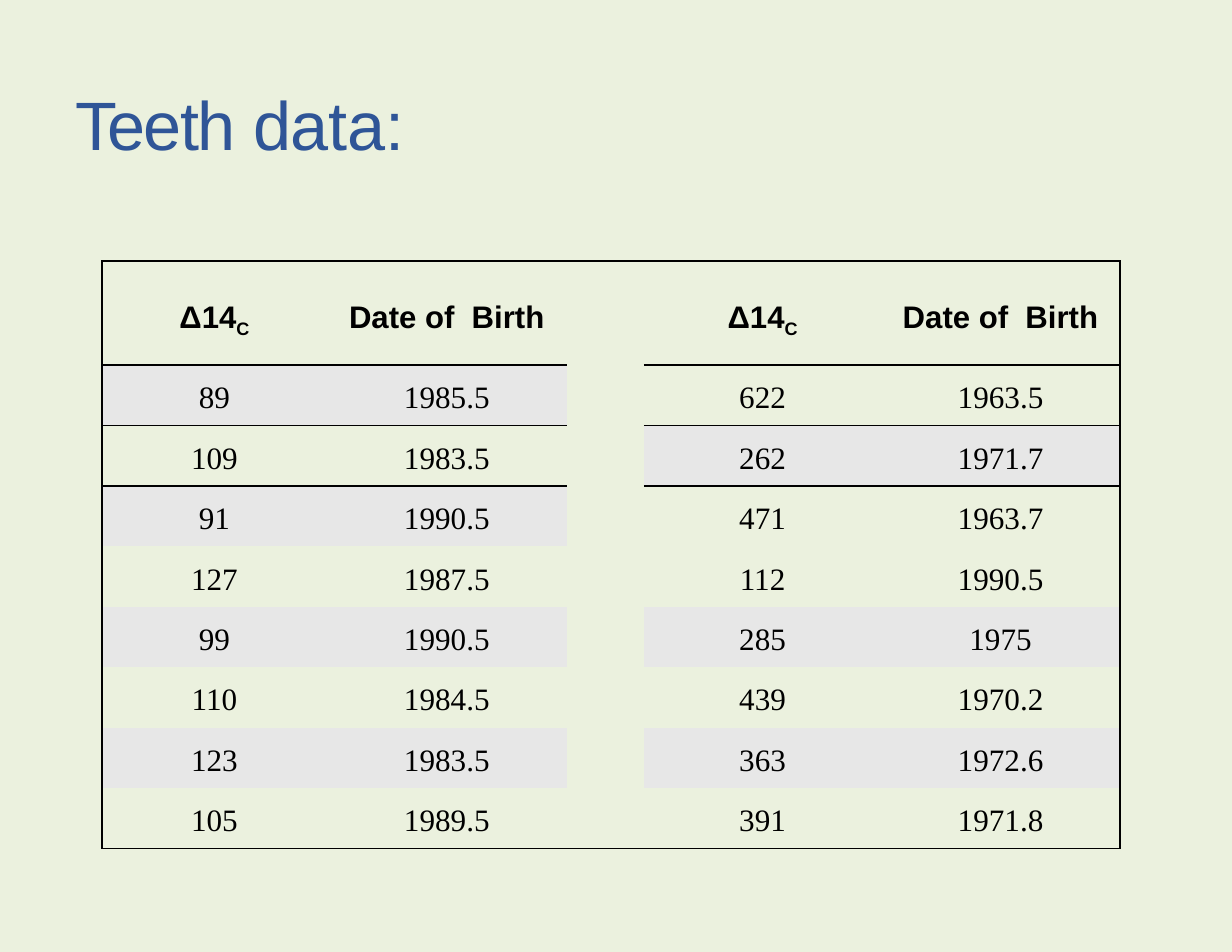
from lxml import etree
from pptx import Presentation
from pptx.dml.color import RGBColor
from pptx.enum.text import MSO_ANCHOR, MSO_AUTO_SIZE, PP_ALIGN
from pptx.oxml.ns import qn
from pptx.util import Inches, Pt

COLORS = {"background": "EBF1DE", "title": "2F5597", "text": "000000",
          "line": "000000", "band": "E7E7E7"}
NO_STYLE = "{2D5ABB26-0587-4C30-8999-92F81FD0307C}"

HEADER = ("Δ14", "Date of  Birth", "", "Δ14", "Date of  Birth")
TEETH = [
    ("89", "1985.5", "", "622", "1963.5"),
    ("109", "1983.5", "", "262", "1971.7"),
    ("91", "1990.5", "", "471", "1963.7"),
    ("127", "1987.5", "", "112", "1990.5"),
    ("99", "1990.5", "", "285", "1975"),
    ("110", "1984.5", "", "439", "1970.2"),
    ("123", "1983.5", "", "363", "1972.6"),
    ("105", "1989.5", "", "391", "1971.8"),
]
COL_WIDTHS = (2.01, 2.14, 0.69, 2.12, 2.13)
HEADER_HEIGHT, ROW_HEIGHT = 0.93, 0.54
GAP_COL = 2
LEFT_BANDS, RIGHT_BANDS = (1, 3, 5, 7), (2, 5, 7)


def rgb(name):
    return RGBColor.from_string(COLORS[name])


def format_run(r, size, font, color, bold=False):
    r.font.size, r.font.name, r.font.bold = Pt(size), font, bold
    r.font.color.rgb = rgb(color)


def add_title(s, left, top, width, height):
    title = s.shapes.title
    title.left, title.top = Inches(left), Inches(top)
    title.width, title.height = Inches(width), Inches(height)
    tf = title.text_frame
    tf.margin_left = tf.margin_right = tf.margin_bottom = 0
    tf.margin_top = Inches(0.02)
    tf.vertical_anchor = MSO_ANCHOR.TOP
    tf.auto_size = MSO_AUTO_SIZE.SHAPE_TO_FIT_TEXT
    p = tf.paragraphs[0]
    p.alignment = PP_ALIGN.LEFT
    p.space_before = Pt(1.4)
    for text, spacing in (("Teeth ", -110), ("data:", -10)):
        r = p.add_run()
        r.text = text
        format_run(r, 44, "Arial", "title")
        r.font._element.set("spc", str(spacing))


def add_border(cell, side):
    tcPr = cell._tc.get_or_add_tcPr()
    ln = etree.SubElement(tcPr, qn(f"a:ln{side}"), w=str(Pt(1)))
    fill = etree.SubElement(ln, qn("a:solidFill"))
    etree.SubElement(fill, qn("a:srgbClr"), val=COLORS["line"])


def border_sides(row, col):
    """Outer frame, plus rules below the header and the first data row."""
    last_row, last_col = len(TEETH), len(HEADER) - 1
    ruled = col != GAP_COL
    edges = {
        "L": col == 0,
        "R": col == last_col,
        "T": row == 0 or (ruled and row in (1, 2)),
        "B": row == last_row or (ruled and row in (0, 1)),
    }
    return [side for side, shown in edges.items() if shown]


def fill_cell(cell, row, col, text):
    for side in border_sides(row, col):
        add_border(cell, side)
    bands = LEFT_BANDS if col < GAP_COL else RIGHT_BANDS
    if col != GAP_COL and row in bands:
        cell.fill.solid()
        cell.fill.fore_color.rgb = rgb("band")
    else:
        cell.fill.background()
    if not text:
        return
    is_header, is_delta = row == 0, col in (0, 3)
    cell.vertical_anchor = MSO_ANCHOR.MIDDLE
    cell.margin_left = cell.margin_right = cell.margin_bottom = 0
    cell.margin_top = Inches((0.12 if is_delta else 0.08) if is_header else 0.05)
    p = cell.text_frame.paragraphs[0]
    p.text = text
    p.alignment = PP_ALIGN.CENTER
    if is_header and is_delta:
        subscript = p.add_run()
        subscript.text = "C"
        subscript.font._element.set("baseline", "-20000")
    for r in p.runs:
        format_run(r, 20, "Arial" if is_header else "Times New Roman", "text", is_header)


def add_teeth_table(s, left, top):
    rows = [HEADER] + TEETH
    heights = [HEADER_HEIGHT] + [ROW_HEIGHT] * len(TEETH)
    table = s.shapes.add_table(len(rows), len(HEADER), Inches(left), Inches(top),
                               Inches(sum(COL_WIDTHS)), Inches(sum(heights))).table
    table.first_row = table.horz_banding = False
    table._tbl.tblPr.find(qn("a:tableStyleId")).text = NO_STYLE
    for column, width in zip(table.columns, COL_WIDTHS):
        column.width = Inches(width)
    for i, (values, height) in enumerate(zip(rows, heights)):
        table.rows[i].height = Inches(height)
        for j, text in enumerate(values):
            fill_cell(table.cell(i, j), i, j, text)


def main():
    prs = Presentation()
    prs.slide_width, prs.slide_height = Inches(11), Inches(8.5)
    s = prs.slides.add_slide(prs.slide_layouts[5])
    s.background.fill.solid()
    s.background.fill.fore_color.rgb = rgb("background")
    add_title(s, 0.67, 0.71, 4.01, 0.76)
    add_teeth_table(s, 0.91, 2.33)
    prs.save("out.pptx")


if __name__ == "__main__":
    main()
